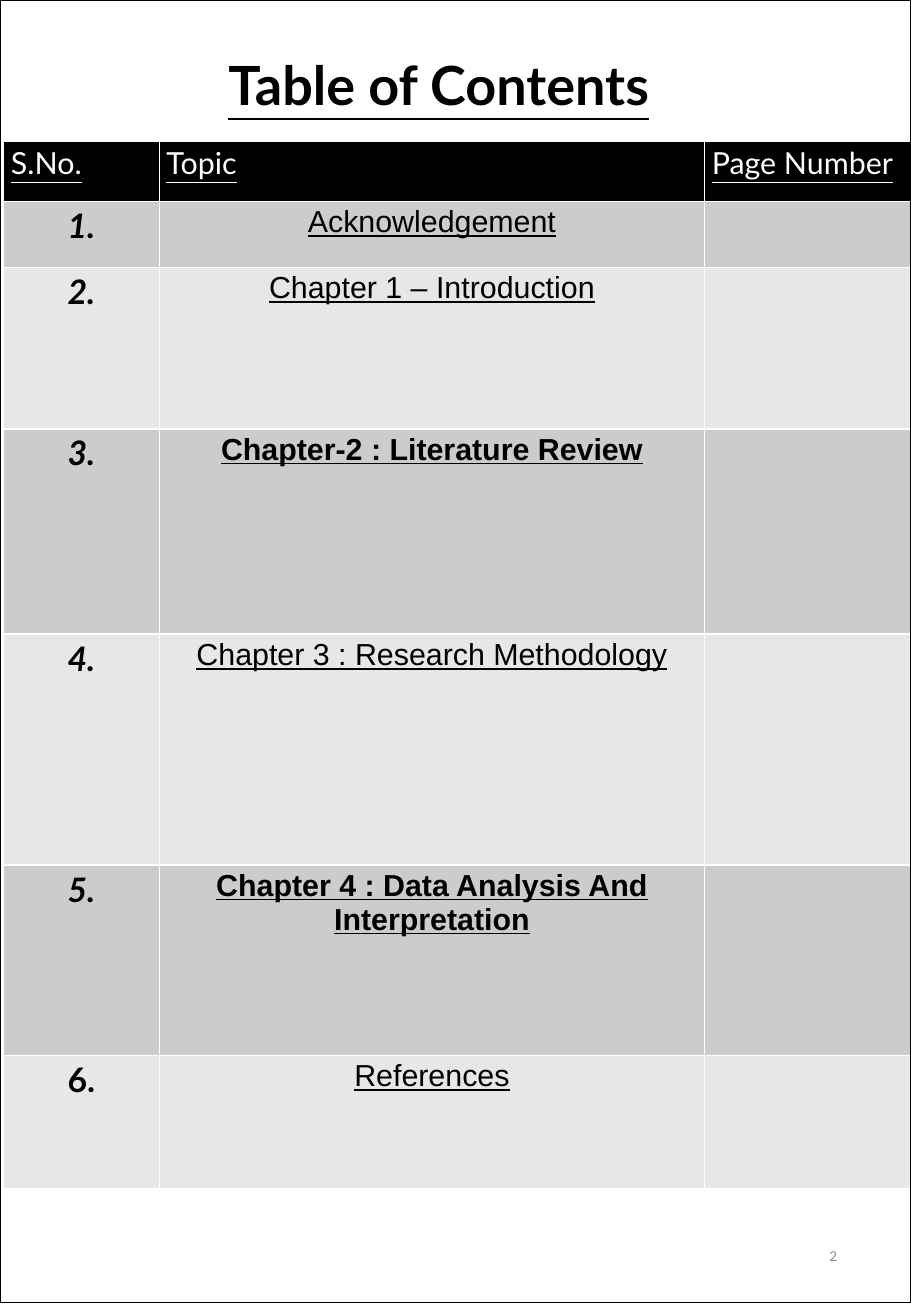
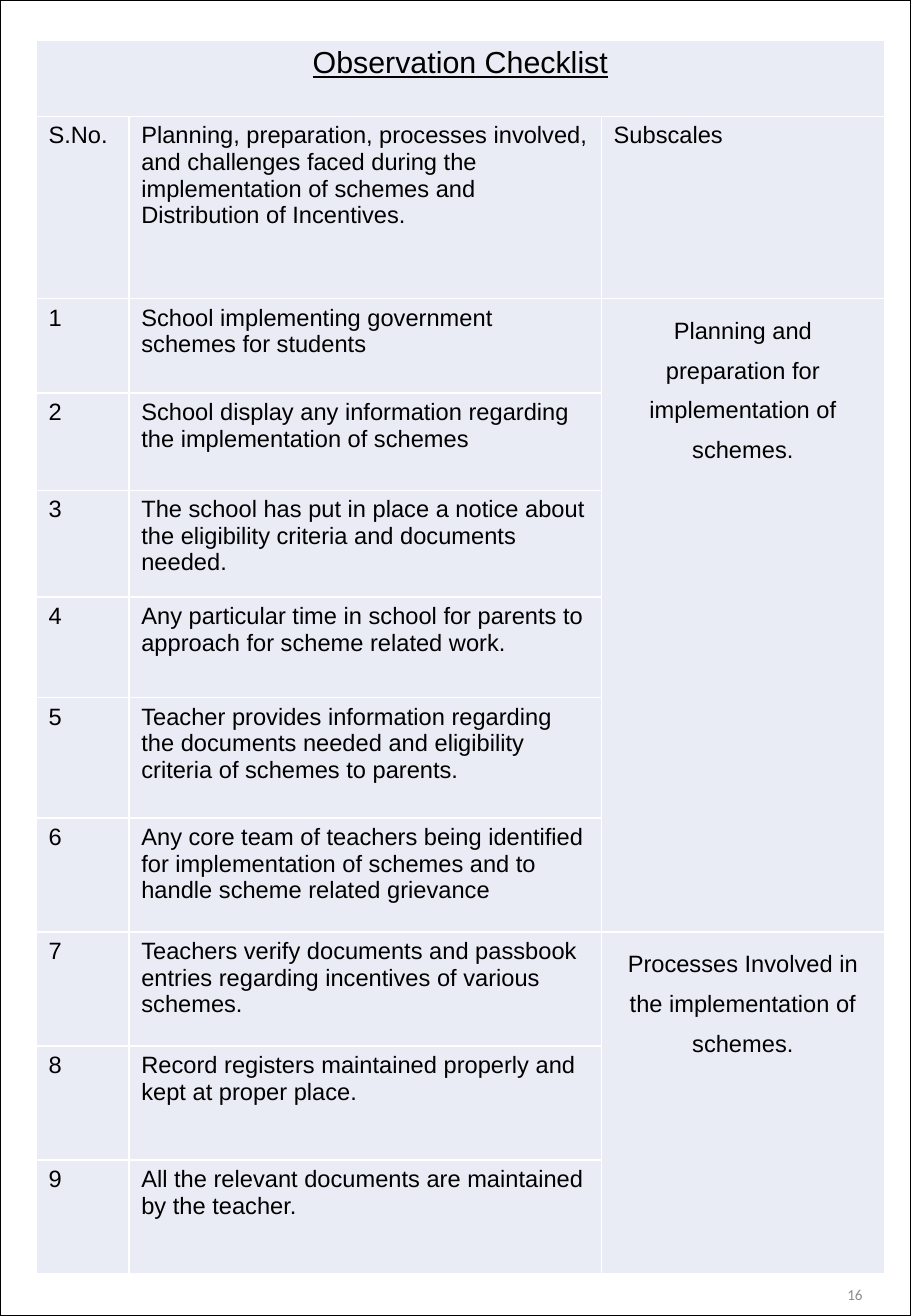
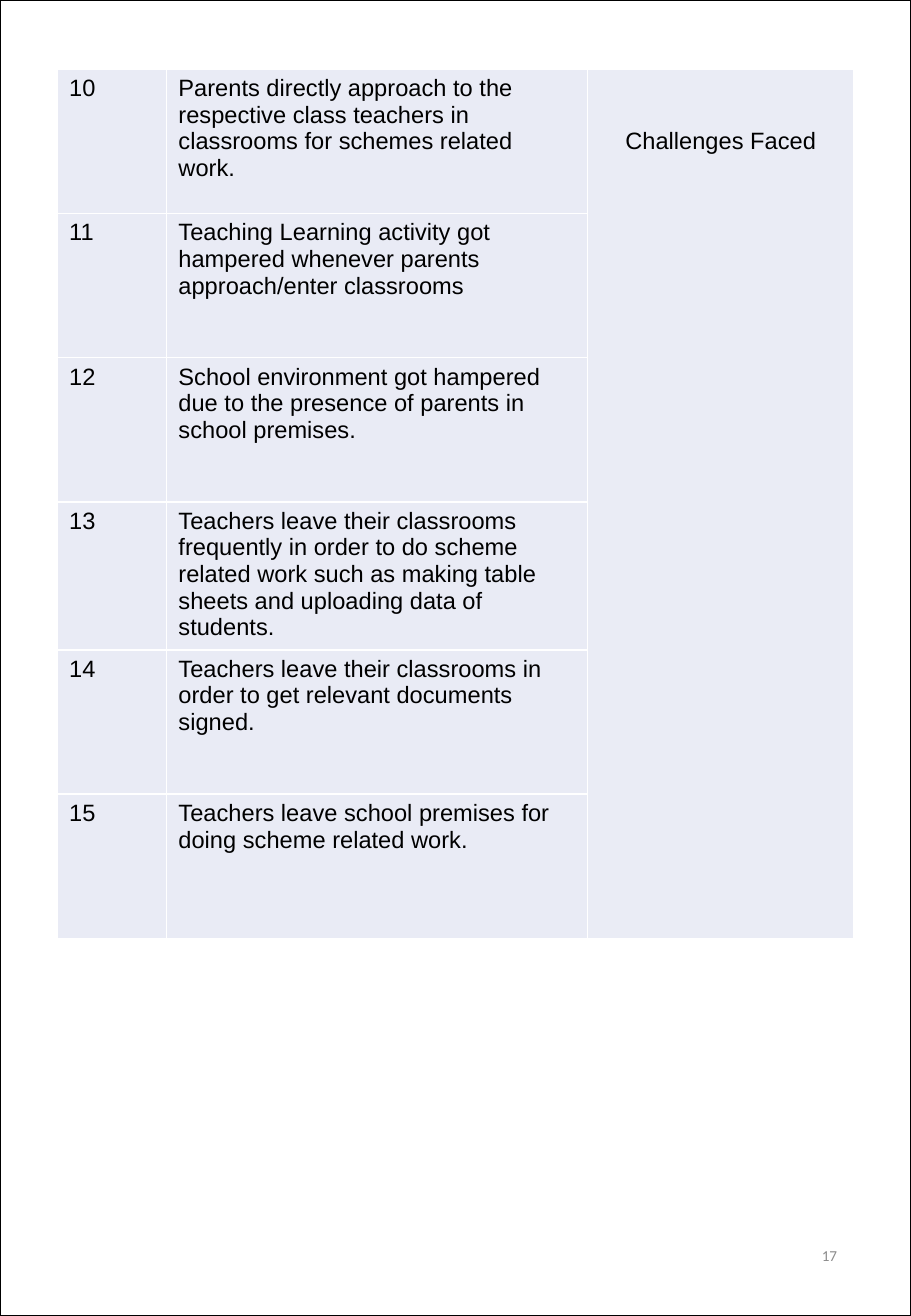
from lxml import etree
from pptx import Presentation
from pptx.dml.color import RGBColor
from pptx.enum import shapes, text
from pptx.oxml.ns import qn
from pptx.util import Pt

# Shared look
COLORS = {"ink": "000000", "white": "FFFFFF", "dark": "CCCCCC",
          "light": "E7E7E7", "pale": "E9EBF5", "grey": "8C8C8C"}
HEAD, BODY, FOOT = "Lato", "Arial", "Calibri"
PAGE_W, PAGE_H = 540, 780
TITLE_ONLY, BLANK = 5, 6
CENTER, RIGHT = text.PP_ALIGN.CENTER, text.PP_ALIGN.RIGHT

# Contents page: topic, bold, italic number, row height
TOPIC_HEAD = ["S.No.", "Topic", "Page Number"]
TOPICS = [
    ("Acknowledgement", False, True, 38.9),
    ("Chapter 1 – Introduction", False, True, 95.8),
    ("Chapter-2 : Literature Review", True, True, 121.7),
    ("Chapter 3 : Research Methodology", False, True, 136.8),
    ("Chapter 4 : Data Analysis And Interpretation", True, True, 113),
    ("References", False, False, 79.2),
]

# Checklist pages
CHECK_TITLE = "Observation Checklist"
CHECK_HEAD = [
    "S.No.",
    "Planning, preparation, processes involved, and challenges faced during "
    "the implementation of schemes and Distribution of Incentives.",
    "Subscales",
]
ITEMS = [
    "School implementing government schemes for students",
    "School display any information regarding the implementation of schemes",
    "The school has put in place a notice about the eligibility criteria and documents needed.",
    "Any particular time in school for parents to approach for scheme related work.",
    "Teacher provides information regarding the documents needed and "
    "eligibility criteria of schemes to parents.",
    "Any core team of teachers being identified for implementation of schemes "
    "and to handle scheme related grievance",
    "Teachers verify documents and passbook entries regarding incentives of various schemes.",
    "Record registers maintained properly and kept at proper place.",
    "All the relevant documents are maintained by the teacher.",
    "Parents directly approach to the respective class teachers in classrooms "
    "for schemes related work.",
    "Teaching Learning activity got hampered whenever parents approach/enter classrooms",
    "School environment got hampered due to the presence of parents in school premises.",
    "Teachers leave their classrooms frequently in order to do scheme related "
    "work such as making table sheets and uploading data of students.",
    "Teachers leave their classrooms in order to get relevant documents signed.",
    "Teachers leave school premises for doing scheme related work.",
]
# Subscale, number of items, line spacing
SUBSCALES = [
    ("Planning and preparation for implementation of schemes.", 6, 1.5),
    ("Processes Involved in the implementation of schemes.", 3, 1.5),
    ("Challenges Faced", 6, 3),
]
FIRST_PAGE_ITEMS = 9


def rgb(name):
    return RGBColor.from_string(COLORS[name])


def write(tf, words, size, font=BODY, color="ink", align=None, spacing=None,
          bold=False, italic=False, underline=False):
    p = tf.paragraphs[0]
    p.text = words
    p.alignment, p.line_spacing = align, spacing
    f = p.font
    f.size, f.name, f.color.rgb = Pt(size), font, rgb(color)
    f.bold, f.italic, f.underline = bold, italic, underline


def add_frame(s, height=PAGE_H):
    frame = s.shapes.add_shape(shapes.MSO_SHAPE.RECTANGLE, 0, 0, Pt(PAGE_W), Pt(height))
    frame.shadow.inherit = False
    frame.fill.background()
    frame.line.color.rgb, frame.line.width = rgb("ink"), Pt(1)


def add_page_number(s, number, left=381.6, top=722.9):
    tf = s.shapes.add_textbox(Pt(left), Pt(top), Pt(121.7), Pt(41.8)).text_frame
    tf.word_wrap = True
    tf.vertical_anchor = text.MSO_ANCHOR.MIDDLE
    write(tf, str(number), 9, FOOT, "grey", RIGHT)


def add_grid(s, left, top, widths, heights, fills, header=False):
    """Add a table whose rows take the given fills."""
    table = s.shapes.add_table(len(heights), len(widths), Pt(left), Pt(top),
                               Pt(sum(widths)), Pt(sum(heights))).table
    table.first_row, table.horz_banding = header, False
    for column, width in zip(table.columns, widths):
        column.width = Pt(width)
    for row, height, fill in zip(table.rows, heights, fills):
        row.height = Pt(height)
        for cell in row.cells:
            cell.fill.solid()
            cell.fill.fore_color.rgb = rgb(fill)
    return table


def add_contents(prs):
    s = prs.slides.add_slide(prs.slide_layouts[TITLE_ONLY])
    title = s.shapes.title
    title.left, title.top, title.width, title.height = Pt(36.7), Pt(20.9), Pt(447), Pt(62)
    title.text_frame.vertical_anchor = text.MSO_ANCHOR.MIDDLE
    write(title.text_frame, "Table of Contents", 32, HEAD, align=CENTER,
          spacing=0.9, bold=True, underline=True)

    heights = [36] + [topic[-1] for topic in TOPICS]
    fills = ["ink"] + ["dark", "light"] * (len(TOPICS) // 2)
    table = add_grid(s, 2.2, 83.5, [92.2, 323.3, 122.4], heights, fills, header=True)
    for cell in table.iter_cells():
        cell.margin_left = cell.margin_right = Pt(4.3)
        cell.margin_top = cell.margin_bottom = Pt(2.2)
    for col, words in enumerate(TOPIC_HEAD):
        write(table.cell(0, col).text_frame, words, 18, HEAD, "white", underline=True)
    for row, (topic, bold, italic, _) in enumerate(TOPICS, 1):
        write(table.cell(row, 0).text_frame, f"{row}.", 20, HEAD, align=CENTER,
              bold=True, italic=italic)
        write(table.cell(row, 1).text_frame, topic, 18, align=CENTER,
              bold=bold, underline=True)
    add_frame(s, 772)
    add_page_number(s, 2)


def fill_checklist(table, row, first, items, subscales):
    """Write numbered items from the given row, with merged subscale cells."""
    for i, item in enumerate(items):
        write(table.cell(row + i, 0).text_frame, str(first + i), 14)
        cell = table.cell(row + i, 1)
        cell.margin_bottom = 0
        write(cell.text_frame, item, 14)
    for words, count, spacing in subscales:
        cell = table.cell(row, 2)
        cell.merge(table.cell(row + count - 1, 2))
        write(cell.text_frame, words, 14, align=CENTER, spacing=spacing)
        row += count


def add_checklist_start(prs):
    s = prs.slides.add_slide(prs.slide_layouts[BLANK])
    add_frame(s)
    heights = [45.2, 108, 56, 57.6, 63.4, 59.6, 71.3] + [67.6] * 4
    table = add_grid(s, 21.6, 23.8, [55, 280, 167.6], heights, ["pale"] * len(heights))
    table.cell(0, 0).merge(table.cell(0, 2))
    write(table.cell(0, 0).text_frame, CHECK_TITLE, 18, align=CENTER, underline=True)
    for col, words in enumerate(CHECK_HEAD):
        write(table.cell(1, col).text_frame, words, 14)
    fill_checklist(table, 2, 1, ITEMS[:FIRST_PAGE_ITEMS], SUBSCALES[:2])
    add_page_number(s, 16, 396.7, 746.6)


def add_checklist_end(prs):
    s = prs.slides.add_slide(prs.slide_layouts[BLANK])
    add_frame(s)
    items = ITEMS[FIRST_PAGE_ITEMS:]
    table = add_grid(s, 33.8, 41, [64.8, 249.8, 157.7], [85.5] * len(items),
                     ["pale"] * len(items))
    fill_checklist(table, 0, FIRST_PAGE_ITEMS + 1, items, SUBSCALES[2:])
    # Slightly transparent subscale cell
    color = table.cell(0, 2).fill._xPr.find(qn("a:solidFill"))[0]
    etree.SubElement(color, qn("a:alpha")).set("val", "93000")
    add_page_number(s, 17)


def main():
    prs = Presentation()
    prs.slide_width, prs.slide_height = Pt(PAGE_W), Pt(PAGE_H)
    add_contents(prs)
    add_checklist_start(prs)
    add_checklist_end(prs)
    prs.save("out.pptx")


if __name__ == "__main__":
    main()
